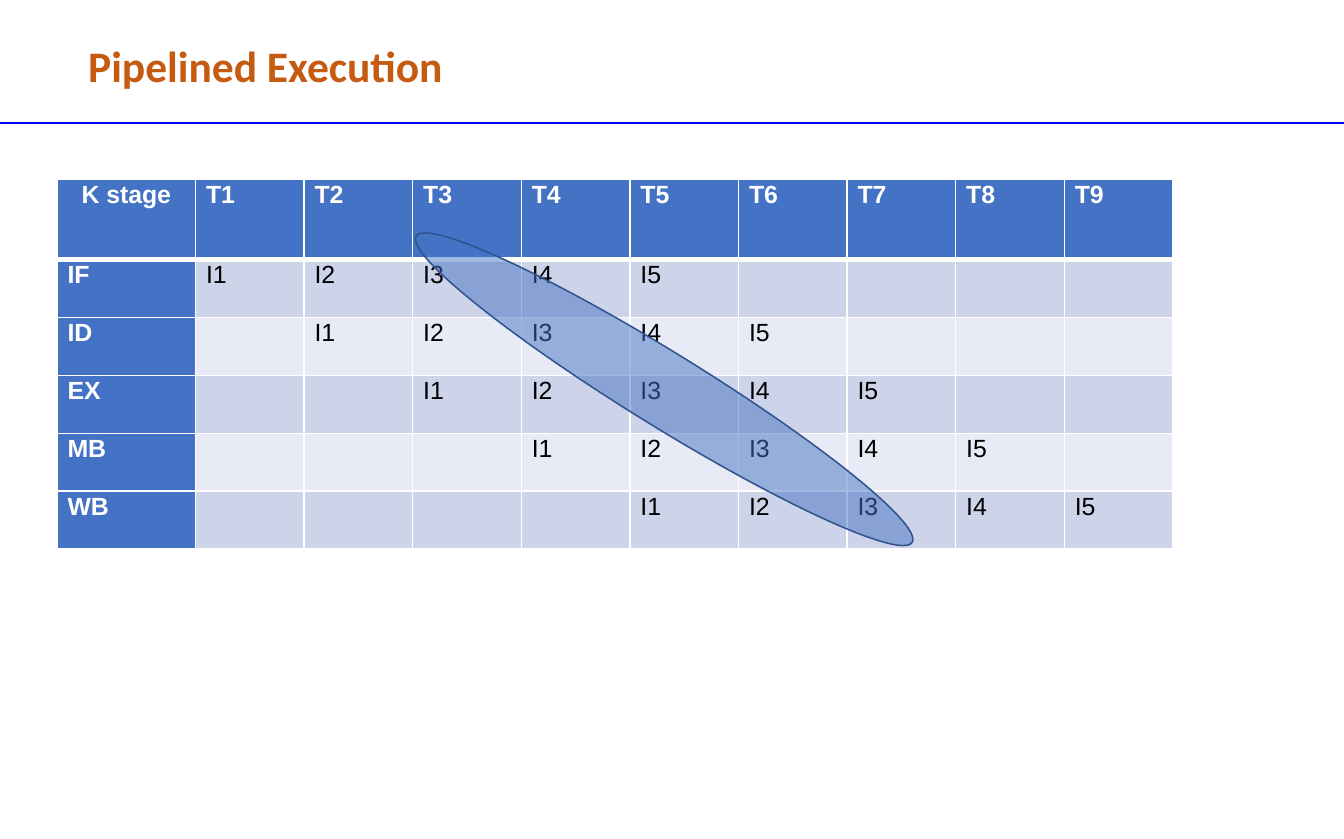
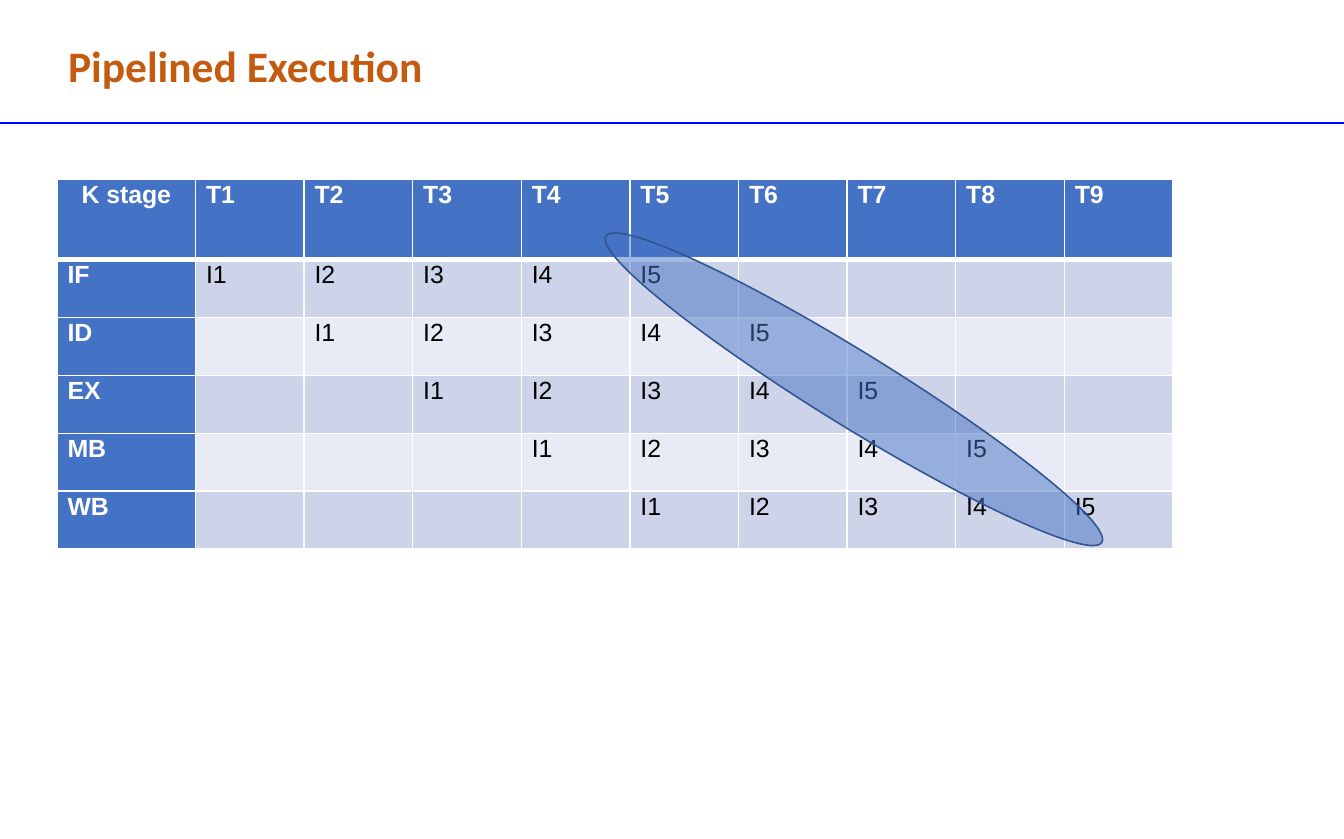
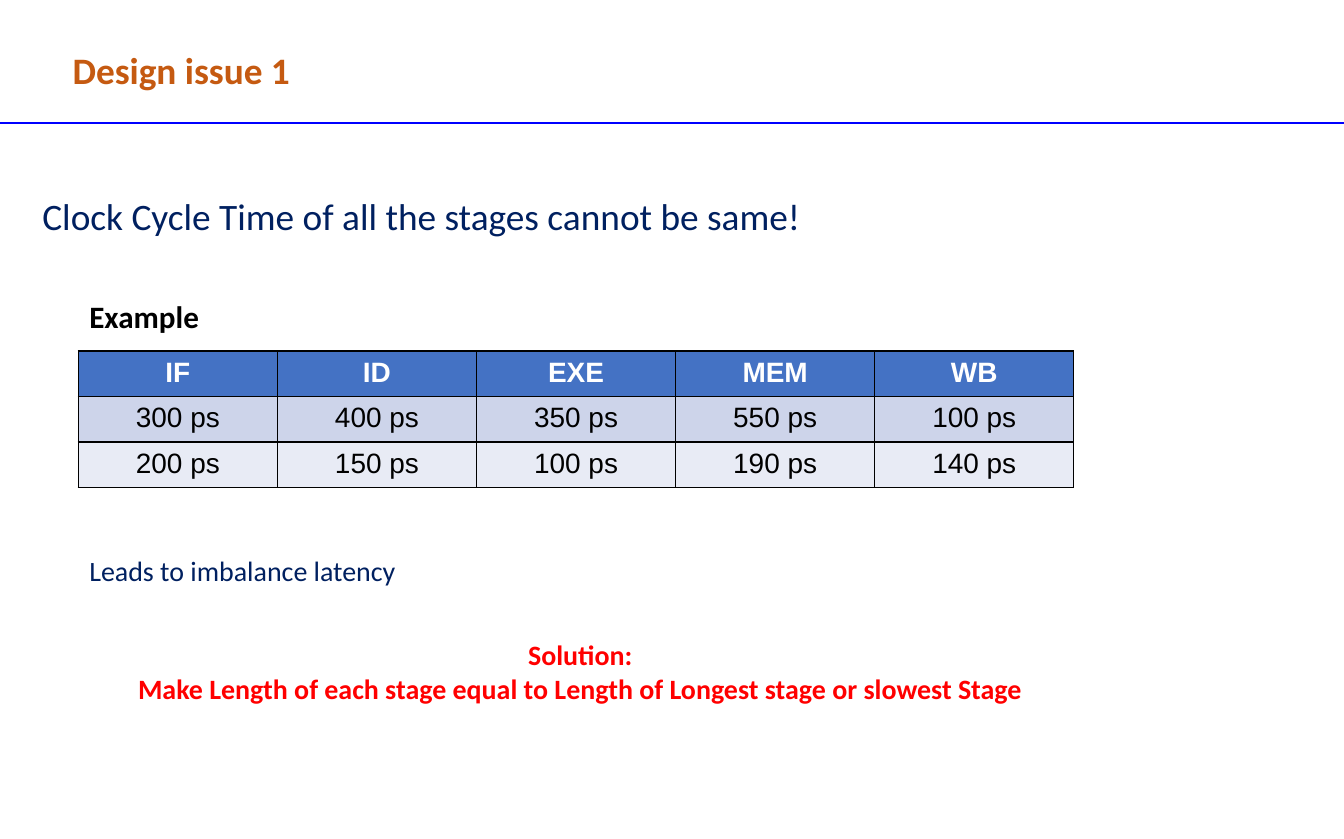
from dataclasses import dataclass
from typing import Optional

from lxml.etree import SubElement
from pptx import Presentation
from pptx.dml.color import RGBColor
from pptx.enum.shapes import MSO_CONNECTOR, MSO_SHAPE
from pptx.enum.text import MSO_AUTO_SIZE, PP_ALIGN
from pptx.oxml.ns import qn
from pptx.presentation import Presentation as Deck
from pptx.slide import Slide
from pptx.table import _Cell
from pptx.text.text import _Paragraph
from pptx.util import Pt

LEFT, CENTER = PP_ALIGN.LEFT, PP_ALIGN.CENTER
FIT_SHAPE = MSO_AUTO_SIZE.SHAPE_TO_FIT_TEXT
STRAIGHT = MSO_CONNECTOR.STRAIGHT
OVAL = MSO_SHAPE.OVAL
BLANK_LAYOUT = 6

SLIDE_WIDTH, SLIDE_HEIGHT = 864.72, 540
RULE_TOP = 79.2


@dataclass(frozen=True)
class Theme:
    title: str = "C55A11"
    rule: str = "0000FF"
    navy: str = "002060"
    red: str = "FF0000"
    black: str = "000000"
    white: str = "FFFFFF"
    accent: str = "4472C4"
    accent_line: str = "31538F"
    bands: tuple[str, str] = ("CDD4EA", "E8EBF5")
    heading_font: str = "Calibri"
    table_font: str = "Arial"
    title_size: int = 28
    lead_size: int = 24
    label_size: int = 20
    body_size: int = 18
    stage_size: int = 16


THEME = Theme()


@dataclass(frozen=True)
class TextStyle:
    size: int
    color: str
    bold: bool = False
    font: str = THEME.heading_font
    align: PP_ALIGN = LEFT
    line_spacing: Optional[float] = None


@dataclass(frozen=True)
class TextBlock:
    left: float
    top: float
    width: float
    height: float
    lines: tuple[str, ...]
    style: TextStyle


@dataclass(frozen=True)
class TableStyle:
    text_size: int
    border: str
    margin_x: float
    margin_y: float
    header_border: float = 1
    header_column: bool = False
    align: PP_ALIGN = LEFT
    line_spacing: Optional[float] = None


@dataclass(frozen=True)
class TableBlock:
    left: float
    top: float
    column_widths: list[float]
    row_heights: list[float]
    rows: list[list[str]]
    style: TableStyle


TITLE_STYLE = TextStyle(THEME.title_size, THEME.title, bold=True)
SMALL_TITLE_STYLE = TextStyle(THEME.lead_size, THEME.title, bold=True)
LEAD_STYLE = TextStyle(THEME.lead_size, THEME.navy)
LABEL_STYLE = TextStyle(THEME.label_size, THEME.black, bold=True)
BODY_STYLE = TextStyle(THEME.body_size, THEME.navy)
SOLUTION_STYLE = TextStyle(THEME.body_size, THEME.red, bold=True, align=CENTER)

PIPELINE_STYLE = TableStyle(
    THEME.stage_size, THEME.white, margin_x=6.75, margin_y=0,
    header_border=3, header_column=True, line_spacing=1.07,
)
LATENCY_STYLE = TableStyle(
    THEME.body_size, THEME.black, margin_x=8.64, margin_y=3.6, align=CENTER,
)

STAGES = ("IF", "ID", "EX", "MB", "WB")
INSTRUCTION_COUNT = 5
CYCLE_COUNT = len(STAGES) + INSTRUCTION_COUNT - 1

LATENCIES = [
    ["IF", "ID", "EXE", "MEM", "WB"],
    ["300 ps", "400 ps", "350 ps", "550 ps", "100 ps"],
    ["200 ps", "150 ps", "100 ps", "190 ps", "140 ps"],
]

DESIGN_TEXTS = (
    TextBlock(39.6, 26.64, 187.2, 36, ("Design issue 1",), SMALL_TITLE_STYLE),
    TextBlock(20.16, 121, 608.4, 36,
              ("Clock Cycle Time of all the stages cannot be same!",), LEAD_STYLE),
    TextBlock(50.4, 188, 103, 31.5, ("Example",), LABEL_STYLE),
    TextBlock(50.4, 352.8, 257, 29, ("Leads to imbalance latency",), BODY_STYLE),
    TextBlock(20.16, 406.8, 706.32, 51, (
        "Solution:",
        "Make Length of each stage equal to Length of Longest stage or slowest Stage",
    ), SOLUTION_STYLE),
)


def rgb(color: str) -> RGBColor:
    return RGBColor.from_string(color)


def write(paragraph: _Paragraph, text: str, style: TextStyle) -> None:
    paragraph.alignment = style.align
    if style.line_spacing:
        paragraph.line_spacing = style.line_spacing
    run = paragraph.add_run()
    run.text = text
    run.font.name = style.font
    run.font.size = Pt(style.size)
    run.font.bold = style.bold
    run.font.color.rgb = rgb(style.color)


def add_text(slide: Slide, block: TextBlock) -> None:
    shape = slide.shapes.add_textbox(
        Pt(block.left), Pt(block.top), Pt(block.width), Pt(block.height))
    frame = shape.text_frame
    frame.word_wrap = True
    frame.auto_size = FIT_SHAPE
    for index, line in enumerate(block.lines):
        paragraph = frame.add_paragraph() if index else frame.paragraphs[0]
        write(paragraph, line, block.style)


def set_borders(cell: _Cell, color: str, top: float, bottom: float) -> None:
    properties = cell._tc.get_or_add_tcPr()
    sides = (("L", 1), ("R", 1), ("T", top), ("B", bottom))
    for index, (side, width) in enumerate(sides):
        line = SubElement(properties, qn(f"a:ln{side}"), w=str(Pt(width)))
        fill = SubElement(line, qn("a:solidFill"))
        SubElement(fill, qn("a:srgbClr"), val=color)
        properties.insert(index, line)  # borders must come before the cell fill


def add_table(slide: Slide, block: TableBlock) -> None:
    style = block.style
    table = slide.shapes.add_table(
        len(block.rows), len(block.column_widths), Pt(block.left), Pt(block.top),
        Pt(sum(block.column_widths)), Pt(sum(block.row_heights))).table
    for column, width in zip(table.columns, block.column_widths):
        column.width = Pt(width)
    for row, height in zip(table.rows, block.row_heights):
        row.height = Pt(height)
    for row_index, texts in enumerate(block.rows):
        for column_index, text in enumerate(texts):
            cell = table.cell(row_index, column_index)
            is_header = row_index == 0 or (style.header_column and column_index == 0)
            fill = THEME.accent if is_header else THEME.bands[(row_index - 1) % 2]
            cell.fill.solid()
            cell.fill.fore_color.rgb = rgb(fill)
            cell.margin_left = cell.margin_right = Pt(style.margin_x)
            cell.margin_top = cell.margin_bottom = Pt(style.margin_y)
            set_borders(cell, style.border,
                        top=style.header_border if row_index == 1 else 1,
                        bottom=style.header_border if row_index == 0 else 1)
            if text:
                is_corner = row_index == 0 and column_index == 0
                write(cell.text_frame.paragraphs[0], text, TextStyle(
                    style.text_size, THEME.white if is_header else THEME.black,
                    is_header, THEME.table_font,
                    CENTER if is_corner else style.align, style.line_spacing))


def add_highlight(slide: Slide, left: float) -> None:
    """Lay a translucent ellipse along one instruction's diagonal."""
    shape = slide.shapes.add_shape(OVAL, Pt(left), Pt(226.8), Pt(375.12), Pt(47.52))
    shape.shadow.inherit = False
    shape.rotation = 31.7
    shape.fill.solid()
    shape.fill.fore_color.rgb = rgb(THEME.accent)
    fill_color = shape._element.spPr.find(f"{qn('a:solidFill')}/{qn('a:srgbClr')}")
    SubElement(fill_color, qn("a:alpha"), val="50000")
    shape.line.color.rgb = rgb(THEME.accent_line)
    shape.line.width = Pt(1)


def add_ruled_slide(presentation: Deck) -> Slide:
    slide = presentation.slides.add_slide(presentation.slide_layouts[BLANK_LAYOUT])
    rule = slide.shapes.add_connector(
        STRAIGHT, Pt(0), Pt(RULE_TOP), Pt(SLIDE_WIDTH), Pt(RULE_TOP))
    rule.line.color.rgb = rgb(THEME.rule)
    rule.line.width = Pt(0.75)
    SubElement(rule._element.spPr, qn("a:effectLst"))
    return slide


def pipeline_rows() -> list[list[str]]:
    """Each stage runs the instructions one cycle later than the stage before."""
    rows = [["K stage"] + [f"T{cycle}" for cycle in range(1, CYCLE_COUNT + 1)]]
    for delay, stage in enumerate(STAGES):
        numbers = [cycle - delay for cycle in range(1, CYCLE_COUNT + 1)]
        rows.append([stage] + [
            f"I{number}" if 1 <= number <= INSTRUCTION_COUNT else ""
            for number in numbers])
    return rows


def add_pipeline_slide(presentation: Deck, title_left: float,
                       highlight_left: float) -> None:
    slide = add_ruled_slide(presentation)
    add_table(slide, TableBlock(
        36.72, 115.5, [89.1] + [69.9] * CYCLE_COUNT,
        [51.5] + [37.3] * len(STAGES), pipeline_rows(), PIPELINE_STYLE))
    add_highlight(slide, highlight_left)
    add_text(slide, TextBlock(
        title_left, 21.6, 294.48, 41, ("Pipelined Execution",), TITLE_STYLE))


def add_design_slide(presentation: Deck) -> None:
    slide = add_ruled_slide(presentation)
    add_table(slide, TableBlock(
        50.4, 226, [128.1] * len(LATENCIES[0]), [29.28] * len(LATENCIES),
        LATENCIES, LATENCY_STYLE))
    for block in DESIGN_TEXTS:
        add_text(slide, block)


def main() -> None:
    presentation = Presentation()
    presentation.slide_width = Pt(SLIDE_WIDTH)
    presentation.slide_height = Pt(SLIDE_HEIGHT)
    add_pipeline_slide(presentation, title_left=49.68, highlight_left=239.76)
    add_pipeline_slide(presentation, title_left=36.72, highlight_left=361.8)
    add_design_slide(presentation)
    presentation.save("out.pptx")


if __name__ == "__main__":
    main()
